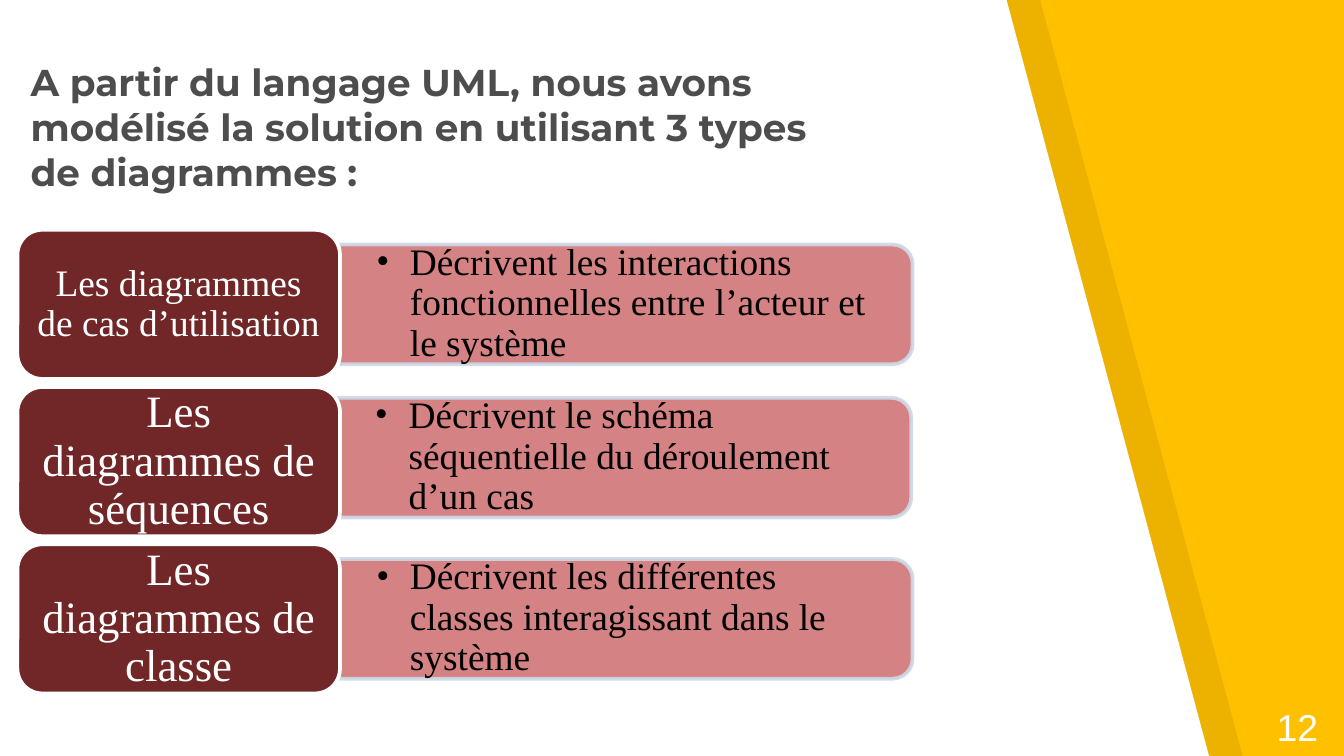
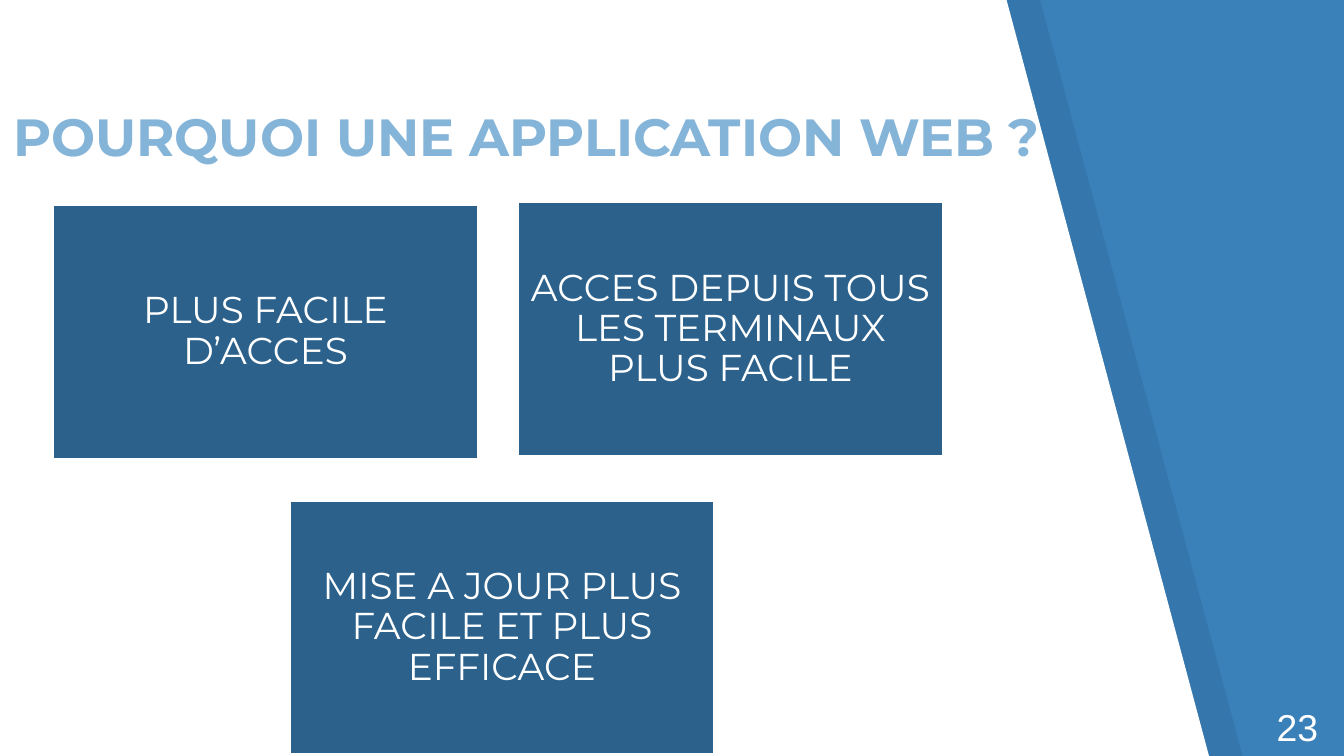
from pptx import Presentation
from pptx.dml.color import RGBColor
from pptx.enum.shapes import MSO_SHAPE
from pptx.enum.text import MSO_ANCHOR, PP_ALIGN
from pptx.oxml.ns import qn
from pptx.util import Inches, Pt
from lxml import etree

RECTANGLE = MSO_SHAPE.RECTANGLE
ROUNDED = MSO_SHAPE.ROUNDED_RECTANGLE
ROUNDED_TOP = MSO_SHAPE.ROUND_2_SAME_RECTANGLE
TOP, MIDDLE, BOTTOM = MSO_ANCHOR.TOP, MSO_ANCHOR.MIDDLE, MSO_ANCHOR.BOTTOM
LEFT, CENTER = PP_ALIGN.LEFT, PP_ALIGN.CENTER

# Shared style
SANS, SERIF, NUMBER_FONT = "Montserrat", "Times New Roman", "Arial"
WHITE, BLACK = "FFFFFF", "000000"
YELLOW, BLUE = "FFC000", "3A81BA"
GREY_TITLE, BLUE_TITLE = "4D4D4D", "85B4D9"
MAROON, ROSE, PALE_BLUE = "712627", "D07576", "CED8E7"
CARD_BLUE = "2B618B"

# Slide content
DIAGRAMS = [  # label, label size, description, left and top of the bar
    ("Les diagrammes de cas d’utilisation", 20,
     "Décrivent les interactions fonctionnelles entre l’acteur et le système",
     2.52, 1.82),
    ("Les diagrammes de séquences", 24,
     "Décrivent le schéma séquentielle du déroulement d’un cas", 2.51, 2.96),
    ("Les diagrammes de classe", 24,
     "Décrivent les différentes classes interagissant dans le système",
     2.52, 4.16),
]
REASONS = [  # text, left and top of the card
    ("PLUS FACILE D’ACCES", 0.39, 1.52),
    ("ACCES DEPUIS TOUS LES TERMINAUX PLUS FACILE", 3.85, 1.5),
    ("MISE A JOUR PLUS FACILE ET PLUS EFFICACE", 2.15, 3.72),
]


def paint(color_format, color):
    color_format.rgb = RGBColor.from_string(color)


def paint_fill(fill, color, opacity=100):
    fill.solid()
    paint(fill.fore_color, color)
    if opacity < 100:
        # The colour element is the only srgbClr inside this fill
        for element in fill._xPr.find(qn("a:solidFill")).iter(qn("a:srgbClr")):
            alpha = etree.SubElement(element, qn("a:alpha"))
            alpha.set("val", str(opacity * 1000))


def write(shape, text, font, size, color, bold=False, align=LEFT,
          anchor=TOP, insets=(0.1, 0.05), spacing=None):
    frame = shape.text_frame
    frame.word_wrap = True
    frame.vertical_anchor = anchor
    frame.margin_left = frame.margin_right = Inches(insets[0])
    frame.margin_top = frame.margin_bottom = Inches(insets[1])
    para = frame.paragraphs[0]
    para.text = text
    para.alignment = align
    if spacing:
        para.line_spacing = spacing
    para.font.name = font
    para.font.size = Pt(size)
    para.font.bold = bold
    paint(para.font.color, color)
    return para


def add_text(page, left, top, width, height, text, *style, **options):
    box = page.shapes.add_textbox(
        Inches(left), Inches(top), Inches(width), Inches(height))
    return write(box, text, *style, **options)


def add_block(page, kind, left, top, width, height, color, outline=WHITE,
              opacity=100):
    block = page.shapes.add_shape(
        kind, Inches(left), Inches(top), Inches(width), Inches(height))
    block.shadow.inherit = False
    paint_fill(block.fill, color, opacity)
    paint_fill(block.line.fill, outline, opacity)
    block.line.width = Pt(2)
    return block


def add_bullet(para):
    properties = para._p.get_or_add_pPr()
    properties.set("marL", str(Inches(0.25)))
    properties.set("indent", str(Inches(-0.25)))
    for tag, name, value in (("a:buFont", "typeface", SERIF),
                             ("a:buChar", "char", "•")):
        element = etree.Element(qn(tag))
        element.set(name, value)
        properties.insert_element_before(
            element, "a:tabLst", "a:defRPr", "a:extLst")


def add_slanted_panel(page, left, color, opacity=100):
    corners = [(0, 5.64), (9, 5.64), (7.49, 0)]
    builder = page.shapes.build_freeform(Inches(left), Inches(-0.01))
    builder.add_line_segments(
        [(Inches(left + x), Inches(y)) for x, y in corners], close=True)
    panel = builder.convert_to_shape()
    panel.shadow.inherit = False
    paint_fill(panel.fill, color, opacity)
    panel.line.fill.background()


def add_page(deck, background, number):
    page = deck.slides.add_slide(deck.slide_layouts[6])
    paint_fill(page.background.fill, background)
    add_slanted_panel(page, 0.25, BLACK, opacity=7)
    add_slanted_panel(page, 0, WHITE)
    add_text(page, 9.4, 5.19, 0.62, 0.44, number, NUMBER_FONT, 20, WHITE)
    return page


def add_title(page, left, top, width, height, text, size, color):
    add_text(page, left, top, width, height, text, SANS, size, color,
             bold=True, anchor=BOTTOM, insets=(0.1, 0.1))


def add_description(page, left, top, text):
    # A bar rounded on its right: the top-rounded shape turned by 90 degrees
    length, thickness = 4.27, 0.89
    shift = (length - thickness) / 2
    bar = add_block(page, ROUNDED_TOP, left + shift, top - shift,
                    thickness, length, ROSE, PALE_BLUE, opacity=90)
    bar.rotation = 90
    para = add_text(page, left + 0.01, top + 0.04, 4.22, 0.8, text,
                    SERIF, 20, BLACK, anchor=MIDDLE, insets=(0.27, 0.14),
                    spacing=0.9)
    add_bullet(para)


def add_diagram_label(page, top, text, size):
    label = add_block(page, ROUNDED, 0.13, top, 2.4, 1.11, MAROON)
    write(label, text, SERIF, size, WHITE, align=CENTER, anchor=MIDDLE,
          insets=(0.08, 0.04), spacing=0.9)


def add_reason_card(page, left, top, text):
    card = add_block(page, RECTANGLE, left, top, 3.17, 1.9, CARD_BLUE)
    write(card, text, SANS, 20, WHITE, align=CENTER, anchor=MIDDLE,
          insets=(0.08, 0.08), spacing=0.9)


def build_diagrams_page(deck):
    page = add_page(deck, YELLOW, "12")
    add_title(page, 0.13, 0.44, 6.36, 1.1,
              "A partir du langage UML, nous avons modélisé la solution "
              "en utilisant 3 types de diagrammes :", 20, GREY_TITLE)
    for row, (label, size, description, left, top) in enumerate(DIAGRAMS):
        add_description(page, left, top, description)
        add_diagram_label(page, 1.71 + row * 1.17, label, size)


def build_reasons_page(deck):
    page = add_page(deck, BLUE, "23")
    add_title(page, 0, 0.55, 8.27, 0.79,
              "POURQUOI UNE APPLICATION WEB ?", 28, BLUE_TITLE)
    for text, left, top in REASONS:
        add_reason_card(page, left, top, text)


def main():
    deck = Presentation()
    # Widescreen, 16:9
    deck.slide_width = Inches(10)
    deck.slide_height = Inches(10) * 9 // 16
    build_diagrams_page(deck)
    build_reasons_page(deck)
    deck.save("out.pptx")


if __name__ == "__main__":
    main()
